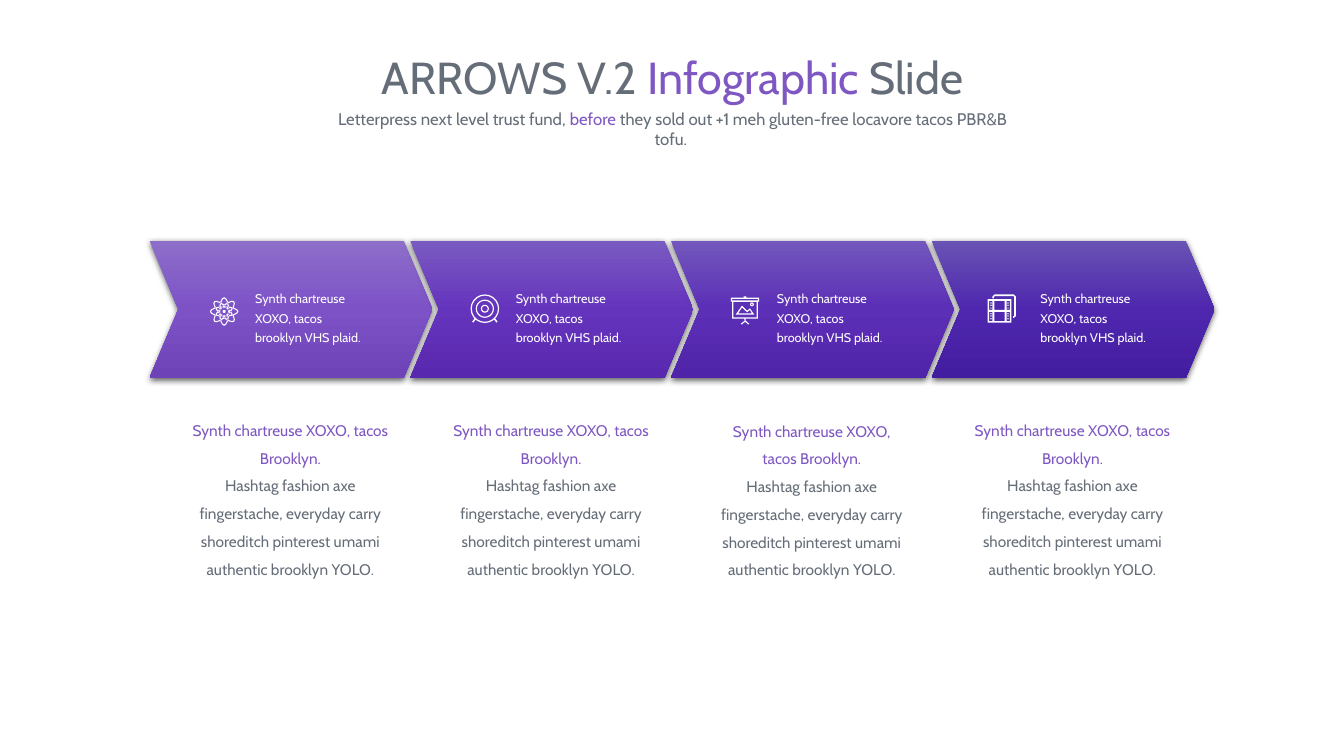
from copy import deepcopy
from dataclasses import dataclass
from math import cos, radians, sin, tau

from lxml import etree
from pptx import Presentation
from pptx import util as u
from pptx.dml import color
from pptx.enum import shapes, text
from pptx.oxml import ns

FONT = "Cabin"
GREY, PURPLE, WHITE = "656D78", "7E57C2", "FFFFFF"
PITCH = 6.57
ARROW_LEFT, ARROW_TOP, ARROW_WIDTH, ARROW_HEIGHT = 3.77, 6.07, 7.13, 3.45
CAPTION_CENTER = 7.32

Contour = list[tuple[float, float]]


@dataclass
class Step:
    gradient: tuple[str, str, str]
    caption_top: float
    caption_width: float
    label_left: float
    icon_left: float
    icon_top: float
    icon: list[Contour]


def oval(x: float, y: float, across: float, down: float, angle: float = 0,
         count: int = 16) -> Contour:
    turn = radians(angle)
    points = []
    for index in range(count):
        a, b = across * cos(tau * index / count), down * sin(tau * index / count)
        points.append((x + a * cos(turn) - b * sin(turn), y + a * sin(turn) + b * cos(turn)))
    return points


def block(left: float, top: float, right: float, bottom: float) -> Contour:
    return [(left, top), (right, top), (right, bottom), (left, bottom)]


ATOM = [oval(0.36, 0.36, across, down, angle)
        for angle in (0, 45, 90, 135) for across, down in ((0.36, 0.13), (0.33, 0.1))]
ATOM.append(oval(0.36, 0.36, 0.04, 0.04, count=8))

LEG = [(0.1, 0.6), (0.13, 0.63), (0.07, 0.71), (0.04, 0.69)]
TARGET = [oval(0.36, 0.36, radius, radius, count=20)
          for radius in (0.36, 0.33, 0.23, 0.2, 0.1, 0.07)]
TARGET += [LEG, [(0.72 - x, y) for x, y in LEG]]

BOARD = [
    block(0, 0.03, 0.71, 0.13), block(0.03, 0.06, 0.68, 0.1),
    block(0.03, 0.13, 0.68, 0.56), block(0.06, 0.14, 0.65, 0.53),
    block(0.32, 0, 0.39, 0.03), block(0.34, 0.56, 0.37, 0.6),
    [(0.25, 0.69), (0.36, 0.6), (0.46, 0.69), (0.44, 0.71), (0.36, 0.64), (0.27, 0.71)],
    [(0.12, 0.46), (0.28, 0.23), (0.41, 0.36), (0.48, 0.3), (0.59, 0.46)],
    [(0.18, 0.43), (0.28, 0.28), (0.41, 0.4), (0.48, 0.34), (0.53, 0.43)],
    oval(0.53, 0.2, 0.05, 0.05, count=8), oval(0.53, 0.2, 0.02, 0.02, count=8),
]

FILM = [block(0, 0.12, 0.6, 0.71)]
FILM += [block(left, top, right, bottom)
         for left, right in ((0.04, 0.12), (0.17, 0.43), (0.48, 0.56))
         for top, bottom in ((0.16, 0.39), (0.44, 0.67))]
FILM += [block(x, y, x + 0.03, y + 0.03)
         for x in (0.07, 0.5) for y in (0.2, 0.26, 0.33, 0.47, 0.53, 0.6)]
FILM.append([(0.12, 0.1), (0.12, 0.05), (0.17, 0), (0.66, 0), (0.71, 0.05), (0.71, 0.55),
             (0.66, 0.59), (0.64, 0.59), (0.64, 0.55), (0.67, 0.54), (0.67, 0.06),
             (0.65, 0.04), (0.18, 0.04), (0.16, 0.06), (0.16, 0.1)])

STEPS = [
    Step(("8D6EC9", "7D52C7", "6D43B7"), 10.25, 5.89, 6.18, 5.29, 7.49, ATOM),
    Step(("795AC1", "6534BD", "5828AE"), 10.25, 5.89, 12.75, 11.86, 7.42, TARGET),
    Step(("7257BC", "5C2FB7", "5024A8"), 10.27, 5.21, 19.33, 18.42, 7.47, BOARD),
    Step(("6953B4", "4E27AE", "431DA0"), 10.25, 5.54, 25.97, 24.89, 7.42, FILM),
]


def rgb(value: str) -> color.RGBColor:
    return color.RGBColor.from_string(value)


def add_text(parent, paragraphs: list[list[tuple[str, str]]], *, left: float, top: float,
             width: float, height: float, size: float, spacing: float = 1.0,
             align=text.PP_ALIGN.CENTER) -> None:
    box = parent.shapes.add_textbox(u.Cm(left), u.Cm(top), u.Cm(width), u.Cm(height))
    frame = box.text_frame
    frame.word_wrap = True
    frame.auto_size = text.MSO_AUTO_SIZE.SHAPE_TO_FIT_TEXT
    for index, spans in enumerate(paragraphs):
        para = frame.add_paragraph() if index else frame.paragraphs[0]
        para.alignment = align
        para.line_spacing = spacing
        for words, shade in spans:
            span = para.add_run()
            span.text = words
            span.font.name = FONT
            span.font.size = u.Pt(size)
            span.font.color.rgb = rgb(shade)


def add_arrow(page, left: float, gradient: tuple[str, str, str]) -> None:
    arrow = page.shapes.add_shape(shapes.MSO_SHAPE.CHEVRON, u.Cm(left), u.Cm(ARROW_TOP),
                                  u.Cm(ARROW_WIDTH), u.Cm(ARROW_HEIGHT))
    arrow.adjustments[0] = 0.21
    arrow.line.fill.background()
    arrow.fill.gradient()
    arrow.fill.gradient_angle = 270
    properties = arrow._element.spPr
    stops = properties.find(".//" + ns.qn("a:gsLst"))
    stops.insert(1, deepcopy(stops[0]))
    for stop, shade, position in zip(arrow.fill.gradient_stops, gradient, (0, 0.5, 1)):
        stop.color.rgb = rgb(shade)
        stop.position = position
    arrow.shadow.inherit = False
    effects = properties.find(ns.qn("a:effectLst"))
    shadow = etree.SubElement(effects, ns.qn("a:outerShdw"), blurRad=str(u.Pt(4.5)),
                              dist=str(u.Pt(1.5)), dir="5400000", algn="t", rotWithShape="0")
    black = etree.SubElement(shadow, ns.qn("a:srgbClr"), val="000000")
    etree.SubElement(black, ns.qn("a:alpha"), val="63000")


def add_icon(group, contours: list[Contour], left: float, top: float) -> None:
    placed = [[(u.Cm(left + x), u.Cm(top + y)) for x, y in contour] for contour in contours]
    builder = group.shapes.build_freeform(*placed[0][0])
    for index, points in enumerate(placed):
        if index:
            builder.move_to(*points[0])
        builder.add_line_segments(points[1:], close=True)
    icon = builder.convert_to_shape()
    icon.fill.solid()
    icon.fill.fore_color.rgb = rgb(WHITE)
    icon.line.fill.background()
    icon.shadow.inherit = False


def main() -> None:
    deck = Presentation()
    deck.slide_width, deck.slide_height = u.Cm(33.87), u.Cm(19.05)
    page = deck.slides.add_slide(deck.slide_layouts[6])
    add_text(page, [[("ARROWS V.2 ", GREY), ("Infographic ", PURPLE), ("Slide", GREY)]],
             left=6.46, top=1.14, width=20.98, height=1.63, size=32)
    add_text(page, [[("Letterpress next level trust fund, ", GREY), ("before", PURPLE),
                     (" they sold out +1 meh gluten-free locavore tacos PBR&B tofu. ", GREY)]],
             left=8.13, top=2.62, width=17.65, height=0.76, size=12)
    for index, step in enumerate(STEPS):
        add_arrow(page, ARROW_LEFT + index * PITCH, step.gradient)
    for index, step in enumerate(STEPS):
        add_text(page,
                 [[("Synth chartreuse XOXO, tacos Brooklyn.", PURPLE)],
                  [("Hashtag fashion axe fingerstache, everyday carry shoreditch pinterest "
                    "umami authentic brooklyn YOLO.", GREY)]],
                 left=CAPTION_CENTER + index * PITCH - step.caption_width / 2,
                 top=step.caption_top, width=step.caption_width, height=4.42,
                 size=11, spacing=1.5)
    for step in STEPS:
        group = page.shapes.add_group_shape()
        add_text(group, [[("Synth chartreuse XOXO, tacos brooklyn VHS plaid.", WHITE)]],
                 left=step.label_left, top=7.09, width=3.18, height=1.75, size=9,
                 spacing=1.3, align=text.PP_ALIGN.LEFT)
        add_icon(group, step.icon, step.icon_left, step.icon_top)
    deck.save("out.pptx")


if __name__ == "__main__":
    main()
